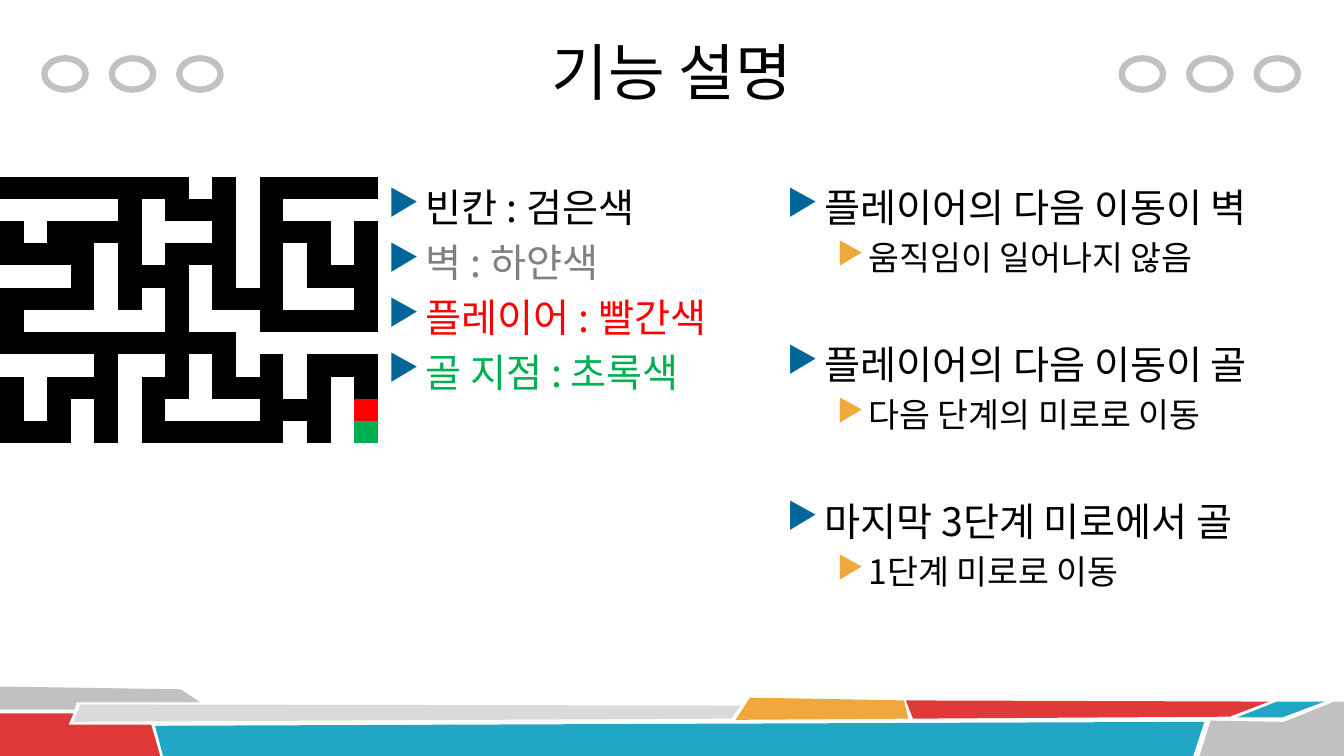
from dataclasses import dataclass
from lxml.etree import SubElement
from pptx import Presentation
from pptx.dml.color import RGBColor
from pptx.enum.shapes import MSO_SHAPE
from pptx.enum.text import MSO_ANCHOR, PP_ALIGN
from pptx.oxml.ns import qn
from pptx.util import Cm, Pt


@dataclass(frozen=True)
class Theme:
    font: str = "Noto Sans CJK KR"
    title: int = 44
    body: int = 28
    detail: int = 24
    black: str = "000000"
    white: str = "FFFFFF"
    gray: str = "808080"
    silver: str = "C1C1C1"
    light: str = "DADADA"
    brick: str = "DF3939"
    teal: str = "21A6C5"
    amber: str = "F0A73C"
    navy: str = "006699"
    red: str = "FF0000"
    green: str = "00B050"


T = Theme()


@dataclass(frozen=True)
class Band:
    color: str
    points: tuple


@dataclass(frozen=True)
class Item:
    text: str
    color: str = T.black
    detail: bool = False
    gap: float = 0


BANDS = [
    Band(T.silver, ((0, 17.3), (4.55, 17.37), (5.05, 17.7), (1.93, 17.7), (1.88, 17.88), (0, 17.88))),
    Band(T.brick, ((0, 17.98), (1.85, 17.98), (1.73, 18.26), (3.81, 18.26), (4.04, 19.05), (0, 19.05))),
    Band(T.light, ((2.03, 17.75), (18.67, 17.78), (18.42, 18.11), (1.85, 18.19))),
    Band(T.teal, ((3.91, 18.29), (30.35, 18.19), (30.07, 19.05), (4.11, 19.05))),
    Band(T.amber, ((18.9, 17.58), (22.78, 17.65), (22.89, 18.11), (18.54, 18.14))),
    Band(T.brick, ((22.83, 17.65), (31.98, 17.68), (30.99, 18.06), (23.01, 18.11))),
    Band(T.teal, ((32.18, 17.68), (33.38, 17.68), (32.31, 18.08), (31.17, 18.08))),
    Band(T.silver, ((30.51, 18.16), (32.36, 18.19), (33.63, 17.68), (33.87, 17.68),
                    (33.87, 19.05), (30.23, 19.05))),
]

MAZE = [
    "########.#.#####",
    ".....#.###.#....",
    "#.####...#.###.#",
    "####.#.###.#.#.#",
    "...#.###.#.#.###",
    "####.#.#.###...#",
    "#......#...#####",
    "##########......",
    "....#..#.#.#.###",
    "#.###.##.###.#.#",
    "#.#.#.#....###.P",
    "###.#.######.#.G",
]
CELL_COLORS = {"#": T.black, ".": T.white, "P": T.red, "G": T.green}

LEGEND = [
    Item("빈칸 : 검은색"),
    Item("벽 : 하얀색", T.gray),
    Item("플레이어 : 빨간색", T.red),
    Item("골 지점 : 초록색", T.green),
]
GROUP_GAP = 1.4 * T.body
RULES = [
    Item("플레이어의 다음 이동이 벽"),
    Item("움직임이 일어나지 않음", detail=True),
    Item("플레이어의 다음 이동이 골", gap=GROUP_GAP),
    Item("다음 단계의 미로로 이동", detail=True),
    Item("마지막 3단계 미로에서 골", gap=GROUP_GAP),
    Item("1단계 미로로 이동", detail=True),
]


def add_band(s, band: Band) -> None:
    points = [(round(x * 100), round(y * 100)) for x, y in band.points]
    fb = s.shapes.build_freeform(*points[0], scale=Cm(0.01))
    fb.add_line_segments(points[1:], close=True)
    sp = fb.convert_to_shape()
    sp.shadow.inherit = False
    sp.fill.solid()
    sp.fill.fore_color.rgb = RGBColor.from_string(band.color)
    sp.line.fill.background()


def add_ring(s, left: float) -> None:
    sp = s.shapes.add_shape(MSO_SHAPE.OVAL, Cm(left), Cm(1.47), Cm(1.04), Cm(0.79))
    sp.shadow.inherit = False
    sp.fill.background()
    sp.line.color.rgb = RGBColor.from_string(T.silver)
    sp.line.width = Pt(4.5)


def add_box(s, left: float, top: float, width: float, height: float):
    tf = s.shapes.add_textbox(Cm(left), Cm(top), Cm(width), Cm(height)).text_frame
    tf.word_wrap = True
    return tf


def add_run(p, text: str, size: int, color: str) -> None:
    r = p.add_run()
    r.text = text
    r.font.size = Pt(size)
    r.font.color.rgb = RGBColor.from_string(color)
    r.font.name = T.font
    SubElement(r.font._element, qn("a:ea"), typeface=T.font)


def add_list(s, left: float, width: float, items: list[Item]) -> None:
    tf = add_box(s, left, 4.5, width, 12.57)
    for i, item in enumerate(items):
        p = tf.paragraphs[0] if i == 0 else tf.add_paragraph()
        size = T.detail if item.detail else T.body
        p.line_spacing = Pt(1.2 * size)
        if i:
            p.space_before = Pt(0.2 * size + item.gap)
        p.level = int(item.detail)
        margin, indent = (2.06, -0.79) if item.detail else (0.95, -0.95)
        pPr = p._p.get_or_add_pPr()
        pPr.set("marL", str(Cm(margin)))
        pPr.set("indent", str(Cm(indent)))
        color = SubElement(pPr, qn("a:buClr"))
        SubElement(color, qn("a:srgbClr"), val=T.amber if item.detail else T.navy)
        SubElement(pPr, qn("a:buSzPct"), val="90000")
        SubElement(pPr, qn("a:buChar"), char="▶")
        add_run(p, item.text, size, item.color)


def add_maze(s, rows: list[str]) -> None:
    frame = s.shapes.add_table(len(rows), len(rows[0]), 0, Cm(4.45), Cm(9.53), Cm(6.73))
    table = frame.table
    table.first_row = table.horz_banding = False
    style = next(frame._element.iter(qn("a:tableStyleId")))
    style.text = "{2D5ABB26-0587-4C30-8999-92F81FD0307C}"
    for y, row in enumerate(rows):
        for x, mark in enumerate(row):
            cell = table.cell(y, x)
            cell.margin_left = cell.margin_right = cell.margin_top = cell.margin_bottom = 0
            cell.fill.solid()
            cell.fill.fore_color.rgb = RGBColor.from_string(CELL_COLORS[mark])
            SubElement(cell.text_frame.paragraphs[0]._p, qn("a:endParaRPr"), sz="800")


def main() -> None:
    prs = Presentation()
    prs.slide_width, prs.slide_height = Cm(33.87), Cm(19.05)
    s = prs.slides.add_slide(prs.slide_layouts[6])
    for band in BANDS:
        add_band(s, band)
    for start in (1.12, 28.27):
        for i in range(3):
            add_ring(s, start + 1.7 * i)
    tf = add_box(s, 5.56, 0.2, 22.76, 3.18)
    tf.vertical_anchor = MSO_ANCHOR.MIDDLE
    p = tf.paragraphs[0]
    p.alignment = PP_ALIGN.CENTER
    add_run(p, "기능 설명", T.title, T.black)
    add_list(s, 9.53, 9.53, LEGEND)
    add_maze(s, MAZE)
    add_list(s, 19.58, 13.92, RULES)
    prs.save("out.pptx")


if __name__ == "__main__":
    main()
